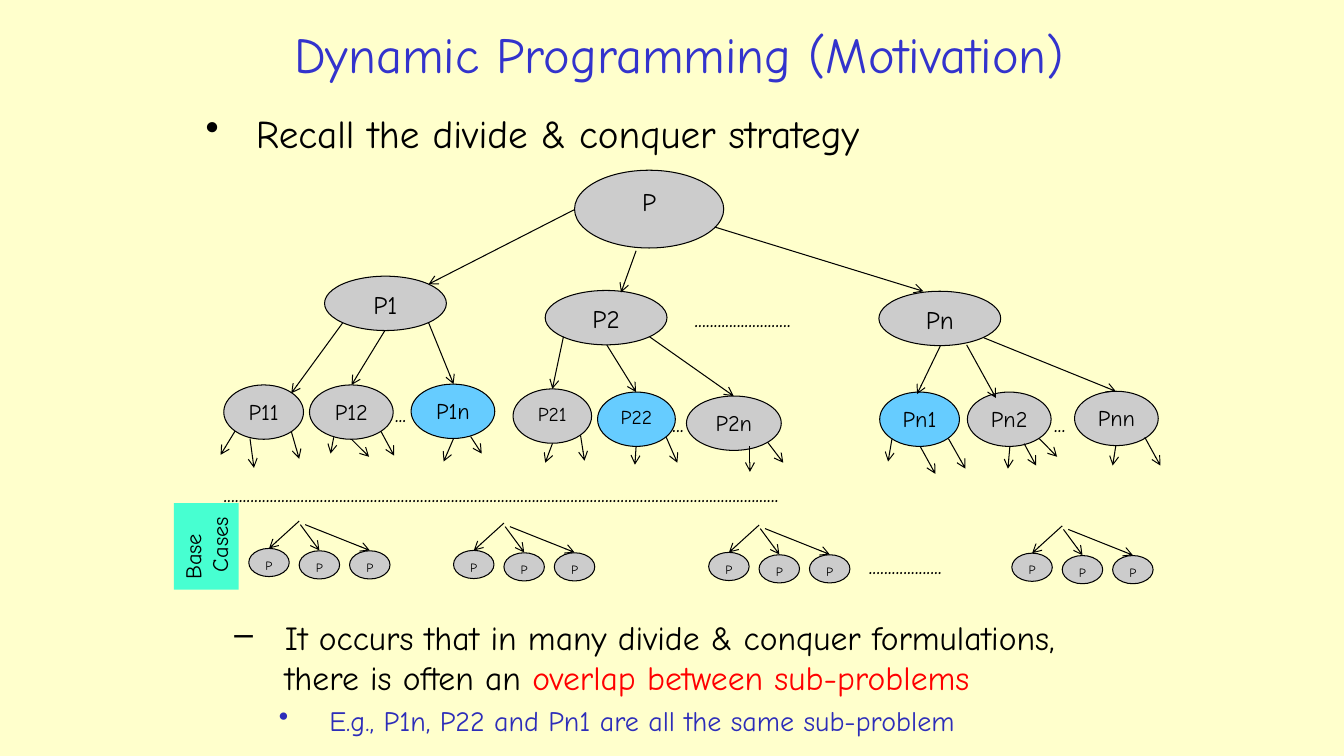
from dataclasses import dataclass

from lxml.etree import SubElement
from pptx import Presentation
from pptx.dml.color import RGBColor
from pptx.enum.shapes import MSO_CONNECTOR, MSO_SHAPE
from pptx.enum.text import MSO_ANCHOR, PP_ALIGN
from pptx.oxml.ns import qn
from pptx.shapes.autoshape import Shape
from pptx.slide import Slide
from pptx.util import Cm, Pt

FONT = "Comic Neue"
COLORS = {
    "background": "FFFFCC",
    "title": "3333CC",
    "text": "000000",
    "example": "2D2DB9",
    "emphasis": "FF0000",
    "node": "CCCCCC",
    "shared": "66CCFF",
    "base": "47FFD1",
}


@dataclass
class Node:
    label: str
    left: float
    top: float
    width: float
    height: float = 1.37
    size: int = 16
    fill: str = "node"


@dataclass
class Arrow:
    start_x: float
    start_y: float
    end_x: float
    end_y: float


@dataclass
class Dots:
    count: int
    left: float
    top: float
    width: float = 1.17


@dataclass
class Bullet:
    spans: list[tuple[str, str]]
    size: int
    symbol: str
    margin: float
    space_before: float = 0


NODES = [
    Node("P", 14.48, 4.29, 3.76, 1.96, 18),
    Node("P1", 8.18, 6.96, 3.07, size=18),
    Node("P2", 13.74, 7.32, 3.07, size=18),
    Node("Pn", 22.15, 7.34, 3.07, size=18),
    Node("P11", 5.64, 9.7, 2.01),
    Node("P12", 7.8, 9.7, 2.11),
    Node("P1n", 10.36, 9.68, 2.11, fill="shared"),
    Node("P21", 12.93, 9.8, 1.98, size=14),
    Node("P22", 15.06, 9.88, 1.96, size=14, fill="shared"),
    Node("P2n", 17.3, 9.98, 2.39),
    Node("Pn1", 22.17, 9.88, 2.01, fill="shared"),
    Node("Pn2", 24.38, 9.88, 2.11),
    Node("Pnn", 27.08, 9.86, 2.11),
]
BRANCHES = [
    Arrow(14.48, 5.28, 10.8, 7.16), Arrow(16.03, 6.32, 15.65, 7.37),
    Arrow(18.01, 5.72, 23.27, 7.34),
    Arrow(8.64, 8.13, 7.34, 9.91), Arrow(9.7, 8.33, 8.86, 9.7),
    Arrow(10.8, 8.13, 11.43, 9.68),
    Arrow(14.2, 8.48, 13.92, 9.8), Arrow(15.29, 8.69, 16.03, 9.88),
    Arrow(16.36, 8.48, 18.49, 9.98),
    Arrow(23.7, 8.71, 23.11, 9.93), Arrow(24.36, 8.69, 25.1, 10.03),
    Arrow(24.79, 8.51, 28.12, 9.86),
]
STUBS = [
    Arrow(5.92, 10.87, 5.56, 11.46), Arrow(6.3, 11.05, 6.4, 11.79),
    Arrow(7.34, 10.87, 7.54, 11.56), Arrow(8.41, 11.02, 8.33, 11.43),
    Arrow(8.86, 11.07, 9.3, 11.51), Arrow(9.6, 10.87, 9.93, 11.48),
    Arrow(11.43, 11.05, 11.18, 11.63), Arrow(11.86, 11, 12.14, 11.43),
    Arrow(13.92, 11.18, 13.74, 11.66), Arrow(14.63, 10.97, 14.73, 11.61),
    Arrow(16.03, 11.25, 16, 11.71), Arrow(16.79, 11.02, 17.07, 11.66),
    Arrow(18.9, 11.25, 18.9, 11.89), Arrow(19.35, 11.15, 19.74, 11.66),
    Arrow(22.48, 11.05, 22.38, 11.63), Arrow(23.19, 11.25, 23.57, 11.94),
    Arrow(23.9, 11.05, 24.33, 11.81), Arrow(25.45, 11.25, 25.4, 11.81),
    Arrow(25.81, 11.18, 26.11, 11.73), Arrow(26.19, 11.05, 26.64, 11.51),
    Arrow(28.12, 11.23, 28.04, 11.73), Arrow(28.85, 11.02, 29.24, 11.73),
]
BASE_ORIGINS = [(6.27, 13.82), (11.43, 13.87), (17.86, 13.92), (25.5, 13.94)]
BASE_NODES = [(0, 0), (1.27, 0.06), (2.54, 0.06)]
BASE_ARROWS = [
    Arrow(1.27, -0.69, 0.51, 0),
    Arrow(1.3, -0.6, 1.78, 0.05),
    Arrow(1.42, -0.6, 3.05, 0.05),
]
DOTS = [
    Dots(144, 5.38, 11.91, 23.55),
    Dots(25, 17.25, 7.49, 4.55),
    Dots(19, 21.64, 13.72, 3.76),
    Dots(3, 9.7, 9.88),
    Dots(3, 16.69, 10.13),
    Dots(3, 26.31, 10.13),
]
STRATEGY = [Bullet([("Recall the divide & conquer strategy", "text")], 28, "•", 1.42)]
OVERLAP = [
    Bullet(
        [
            ("It occurs that in many divide & conquer formulations, there is often an ", "text"),
            ("overlap between sub-problems", "emphasis"),
        ],
        24, "–", 2.54,
    ),
    Bullet([("E.g., P1n, P22 and Pn1 are all the same sub-problem", "example")], 20, "•", 3.66, 4),
]


def rgb(name: str) -> RGBColor:
    return RGBColor.from_string(COLORS[name])


def style_span(span, size: int, color: str) -> None:
    span.font.name = FONT
    span.font.size = Pt(size)
    span.font.color.rgb = rgb(color)


def write(shape: Shape, text: str, size: int, color: str, align: PP_ALIGN) -> None:
    shape.text_frame.text = text
    for para in shape.text_frame.paragraphs:
        para.alignment = align
        for span in para.runs:
            style_span(span, size, color)


def add_box(page: Slide, left: float, top: float, width: float, height: float) -> Shape:
    box = page.shapes.add_textbox(Cm(left), Cm(top), Cm(width), Cm(height))
    box.text_frame.word_wrap = True
    return box


def add_node(page: Slide, node: Node, kind: MSO_SHAPE = MSO_SHAPE.OVAL,
             align: PP_ALIGN = PP_ALIGN.CENTER) -> Shape:
    shape = page.shapes.add_shape(
        kind, Cm(node.left), Cm(node.top), Cm(node.width), Cm(node.height))
    shape.shadow.inherit = False
    shape.fill.solid()
    shape.fill.fore_color.rgb = rgb(node.fill)
    shape.line.color.rgb = rgb("text")
    shape.line.width = Pt(0.75)
    shape.text_frame.word_wrap = False
    shape.text_frame.vertical_anchor = MSO_ANCHOR.TOP
    write(shape, node.label, node.size, "text", align)
    return shape


def add_arrow(page: Slide, arrow: Arrow, left: float = 0, top: float = 0) -> None:
    connector = page.shapes.add_connector(
        MSO_CONNECTOR.STRAIGHT,
        Cm(left + arrow.start_x), Cm(top + arrow.start_y),
        Cm(left + arrow.end_x), Cm(top + arrow.end_y))
    connector.line.color.rgb = rgb("text")
    connector.line.width = Pt(0.75)
    SubElement(connector.line._get_or_add_ln(), qn("a:tailEnd"), type="arrow")
    SubElement(connector._element.spPr, qn("a:effectLst"))


def add_bullets(box: Shape, bullets: list[Bullet]) -> None:
    frame = box.text_frame
    for index, bullet in enumerate(bullets):
        para = frame.add_paragraph() if index else frame.paragraphs[0]
        properties = para._p.get_or_add_pPr()
        properties.set("marL", str(Cm(bullet.margin)))
        properties.set("indent", str(Cm(-1.27)))
        SubElement(properties, qn("a:buChar"), char=bullet.symbol)
        para.space_before = Pt(bullet.space_before)
        for text, color in bullet.spans:
            span = para.add_run()
            span.text = text
            style_span(span, bullet.size, color)


def main() -> None:
    deck = Presentation()
    deck.slide_width, deck.slide_height = Cm(33.87), Cm(19.05)
    page = deck.slides.add_slide(deck.slide_layouts[6])
    page.background.fill.solid()
    page.background.fill.fore_color.rgb = rgb("background")

    title = add_box(page, 5, 0.38, 24.23, 1.93)
    title.text_frame.vertical_anchor = MSO_ANCHOR.MIDDLE
    write(title, "Dynamic Programming (Motivation)", 36, "title", PP_ALIGN.CENTER)
    add_bullets(add_box(page, 4.78, 2.62, 24.41, 1.4), STRATEGY)

    for node in NODES:
        add_node(page, node)
    for arrow in BRANCHES + STUBS:
        add_arrow(page, arrow)
    for left, top in BASE_ORIGINS:
        for across, down in BASE_NODES:
            add_node(page, Node("P", left + across, top + down, 1.02, 0.71, 9))
        for arrow in BASE_ARROWS:
            add_arrow(page, arrow, left, top)
    for dots in DOTS:
        box = add_box(page, dots.left, dots.top, dots.width, 1.02)
        write(box, "." * dots.count, 18, "text", PP_ALIGN.LEFT)

    base = Node("Base\n Cases", 4.11, 12.95, 2.18, 1.63, fill="base")
    base_label = add_node(page, base, MSO_SHAPE.RECTANGLE, PP_ALIGN.LEFT)
    base_label.line.fill.background()
    base_label.rotation = 270
    add_bullets(add_box(page, 4.39, 15.42, 24.41, 1.88), OVERLAP)
    deck.save("out.pptx")


if __name__ == "__main__":
    main()
